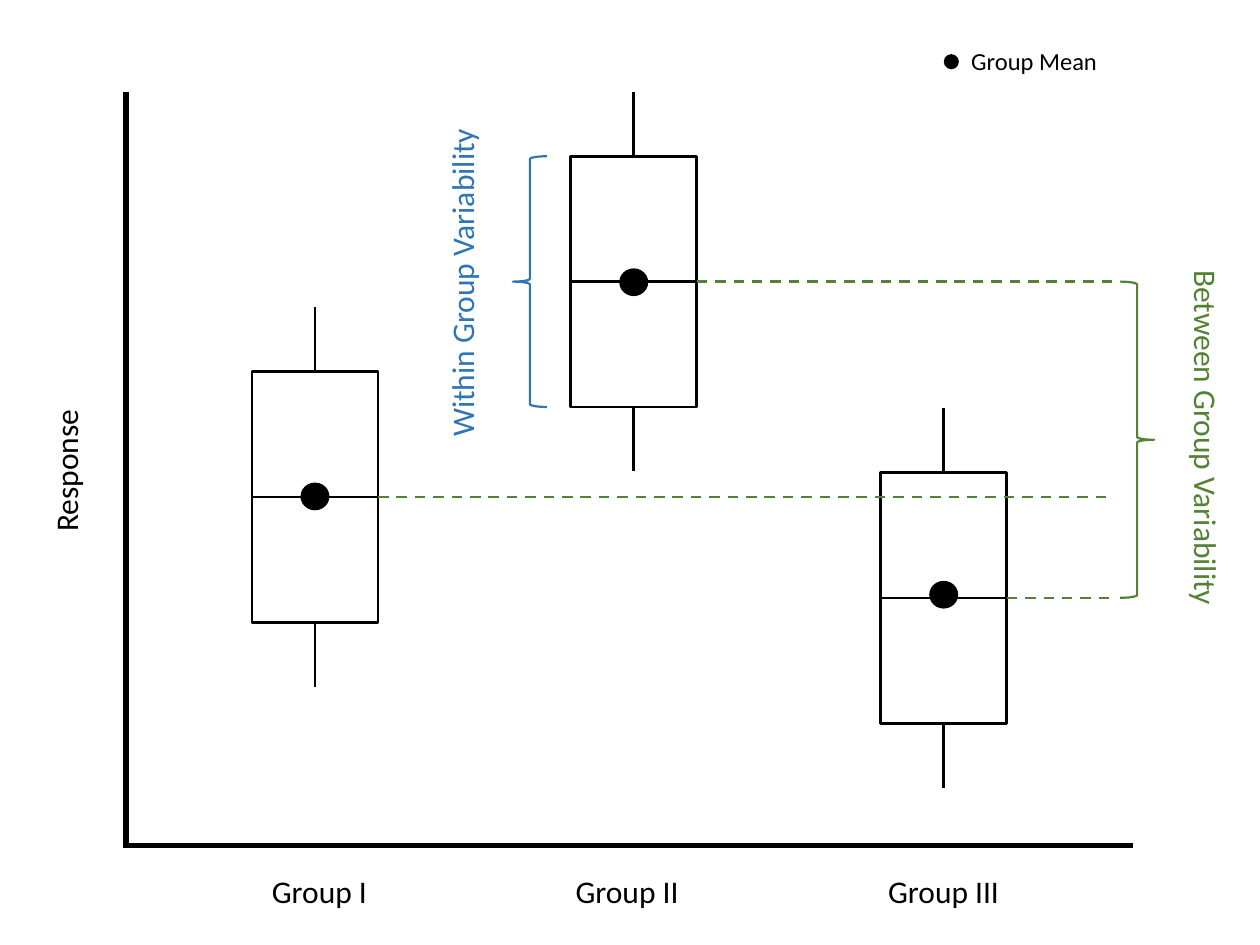
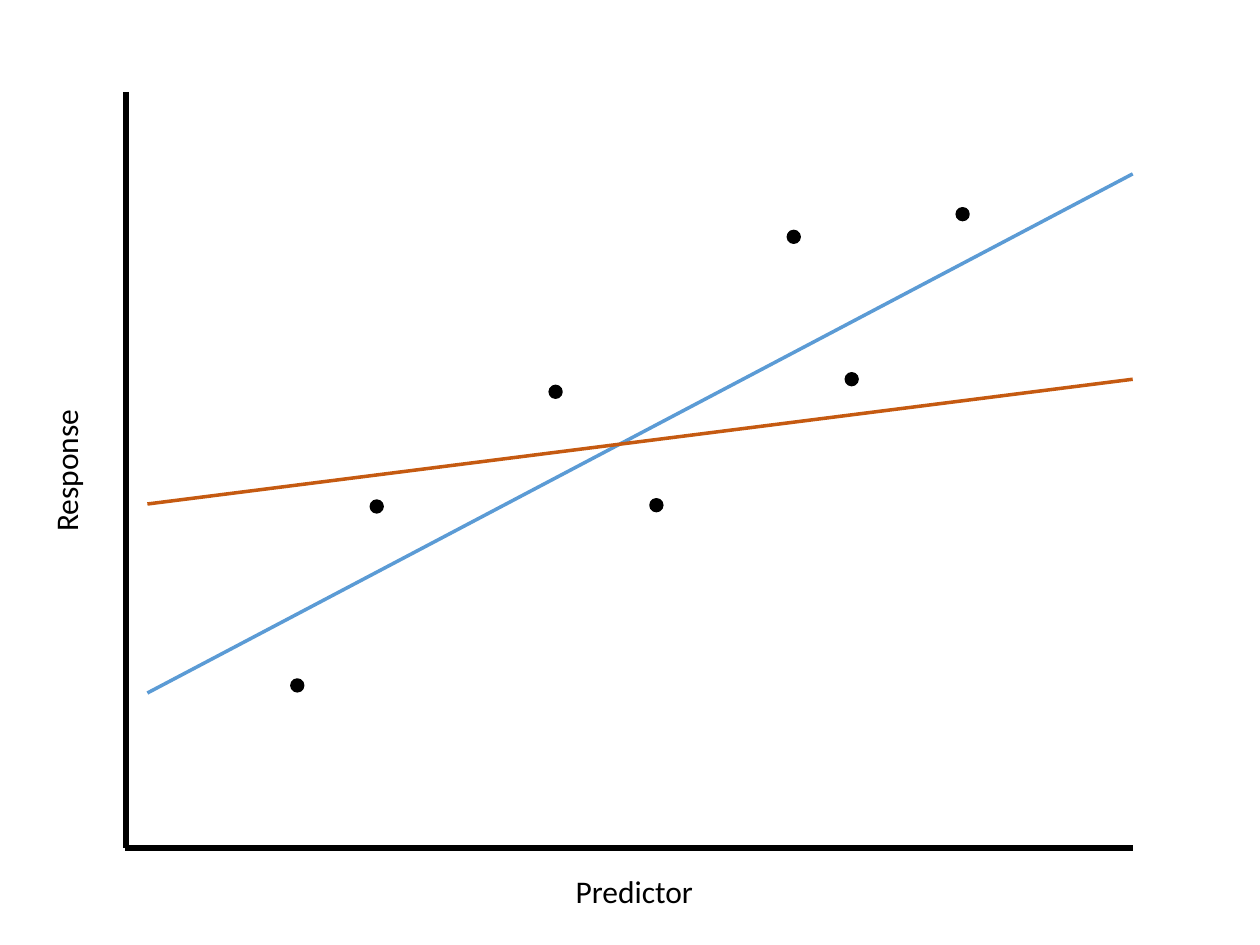
from dataclasses import dataclass
from typing import Optional

from lxml import etree
from pptx import Presentation
from pptx import util as u
from pptx.dml.color import RGBColor
from pptx.enum import dml, shapes, text
from pptx.oxml.ns import qn

FONT = "Calibri"
BLACK, GREEN, BLUE = "000000", "548235", "2E75B6"
LIGHT_BLUE, ORANGE = "5B9BD5", "C55A11"
TOP, LEFT, BOTTOM, RIGHT = range(4)
AXIS_LEFT, AXIS_RIGHT, AXIS_TOP, AXIS_BOTTOM = 1, 8.99, 0.73, 6.73
BOX_WIDTH, BOX_HEIGHT, WHISKER = 1, 1.99, 0.51
LABEL_TOP, LABEL_HEIGHT = 6.87, 0.4


@dataclass(frozen=True)
class Label:
    words: str
    left: float
    top: float
    width: float
    height: float = LABEL_HEIGHT
    rotation: int = 0
    color: str = BLACK
    size: int = 18


@dataclass(frozen=True)
class Group:
    label: Label
    left: float
    top: float
    mean: float
    dash_end: float

    @property
    def center(self) -> float:
        return self.left + BOX_WIDTH / 2

    @property
    def median(self) -> float:
        return self.top + BOX_HEIGHT / 2

    @property
    def bottom(self) -> float:
        return self.top + BOX_HEIGHT


@dataclass(frozen=True)
class Trend:
    start: float
    end: float
    color: str


GROUPS = (
    Group(Label("Group I", 2.06, LABEL_TOP, 0.97), 2, 2.95, 3.94, 8.81),
    Group(Label("Group II", 4.47, LABEL_TOP, 1.03), 4.53, 1.24, 2.24, 8.83),
    Group(Label("Group III", 6.95, LABEL_TOP, 1.09), 6.99, 3.75, 4.72, 8.8),
)
VARIABILITY_LABELS = (
    Label("Between Group Variability", 8.13, 3.29, 2.89, rotation=90, color=GREEN),
    Label("Within Group Variability", 2.33, 2.03, 2.67, rotation=270, color=BLUE),
)
RESPONSE = Label("Response", -0.07, 3.53, 1.18, rotation=270)
PREDICTOR = Label("Predictor", 4.47, LABEL_TOP, 1.14)
LEGEND = Label("Group Mean", 7.61, 0.32, 1.21, 0.34, size=14)
OBSERVATIONS = ((2.36, 5.44), (2.99, 4.02), (4.41, 3.11), (5.21, 4.01),
                (6.3, 1.88), (6.76, 3.01), (7.64, 1.7))
TRENDS = (Trend(5.5, 1.38, LIGHT_BLUE), Trend(4, 3.01, ORANGE))


def rgb(color: str) -> RGBColor:
    return RGBColor.from_string(color)


def set_line(line, color: str, width: float) -> None:
    line.color.rgb = rgb(color)
    line.width = u.Pt(width)


def add_label(slide, label: Label) -> None:
    box = slide.shapes.add_textbox(u.Inches(label.left), u.Inches(label.top),
                                   u.Inches(label.width), u.Inches(label.height))
    box.rotation = label.rotation
    frame = box.text_frame
    frame.word_wrap = False
    frame.auto_size = text.MSO_AUTO_SIZE.SHAPE_TO_FIT_TEXT
    run = frame.paragraphs[0].add_run()
    run.text = label.words
    run.font.name = FONT
    run.font.size = u.Pt(label.size)
    run.font.color.rgb = rgb(label.color)


def add_line(slide, x1: float, y1: float, x2: float, y2: float,
             color: str = BLACK, width: float = 1.5, dashed: bool = False):
    line = slide.shapes.add_connector(shapes.MSO_CONNECTOR.STRAIGHT, u.Inches(x1),
                                      u.Inches(y1), u.Inches(x2), u.Inches(y2))
    set_line(line.line, color, width)
    if dashed:
        line.line.dash_style = dml.MSO_LINE.DASH
    etree.SubElement(line._element.spPr, qn("a:effectLst"))
    return line


def add_outline(slide, kind, left: float, top: float, width: float, height: float,
                color: str = BLACK, line_width: float = 1.5):
    shape = slide.shapes.add_shape(kind, u.Inches(left), u.Inches(top),
                                   u.Inches(width), u.Inches(height))
    shape.shadow.inherit = False
    shape.fill.background()
    set_line(shape.line, color, line_width)
    return shape


def add_dot(slide, x: float, y: float, width: float, height: float,
            line_width: Optional[float] = None) -> None:
    dot = add_outline(slide, shapes.MSO_SHAPE.OVAL, x - width / 2, y - height / 2,
                      width, height, line_width=line_width or 0)
    dot.fill.solid()
    dot.fill.fore_color.rgb = rgb(BLACK)
    if line_width is None:
        dot.line.fill.background()


def add_brace(slide, left: float, top: float, height: float, color: str):
    return add_outline(slide, shapes.MSO_SHAPE.RIGHT_BRACE, left, top, 0.27, height,
                       color, 1.25)


def add_axes(slide, horizontal: float) -> None:
    add_line(slide, AXIS_LEFT, AXIS_TOP, AXIS_LEFT, AXIS_BOTTOM, width=3)
    add_line(slide, AXIS_LEFT - 0.01, horizontal, AXIS_RIGHT, horizontal, width=3)
    add_label(slide, RESPONSE)


def add_box_plot(slide, group: Group):
    box = add_outline(slide, shapes.MSO_SHAPE.RECTANGLE, group.left, group.top,
                      BOX_WIDTH, BOX_HEIGHT)
    median = add_line(slide, group.left, group.median,
                      group.left + BOX_WIDTH, group.median)
    median.begin_connect(box, LEFT)
    median.end_connect(box, RIGHT)
    for side, edge, tip in ((TOP, group.top, group.top - WHISKER),
                            (BOTTOM, group.bottom, group.bottom + WHISKER)):
        whisker = add_line(slide, group.center, edge, group.center, tip)
        whisker.begin_connect(box, side)
    add_dot(slide, group.center, group.mean, 0.23, 0.22)
    add_label(slide, group.label)
    return box


def build_variability_slide(slide) -> None:
    add_axes(slide, AXIS_BOTTOM - 0.02)
    boxes = [add_box_plot(slide, group) for group in GROUPS]
    for group, box in zip(GROUPS, boxes):
        dash = add_line(slide, group.left + BOX_WIDTH, group.median,
                        group.dash_end, group.median, GREEN, dashed=True)
        dash.begin_connect(box, RIGHT)
    _, highest, lowest = GROUPS
    add_brace(slide, 8.89, highest.median, lowest.median - highest.median, GREEN)
    within = add_brace(slide, 4.07, highest.top, BOX_HEIGHT, BLUE)
    within.rotation = 180
    for label in VARIABILITY_LABELS:
        add_label(slide, label)
    add_dot(slide, 7.55, 0.49, 0.12, 0.12)
    add_label(slide, LEGEND)


def build_regression_slide(slide) -> None:
    add_axes(slide, AXIS_BOTTOM)
    add_label(slide, PREDICTOR)
    for trend in TRENDS:
        add_line(slide, 1.17, trend.start, AXIS_RIGHT, trend.end, trend.color, 2)
    for x, y in OBSERVATIONS:
        add_dot(slide, x, y, 0.1, 0.1, line_width=1)


def main() -> None:
    presentation = Presentation()
    presentation.slide_width = u.Inches(10)
    presentation.slide_height = u.Inches(7.5)
    blank = presentation.slide_layouts[6]
    for build in (build_variability_slide, build_regression_slide):
        build(presentation.slides.add_slide(blank))
    presentation.save("out.pptx")


if __name__ == "__main__":
    main()
